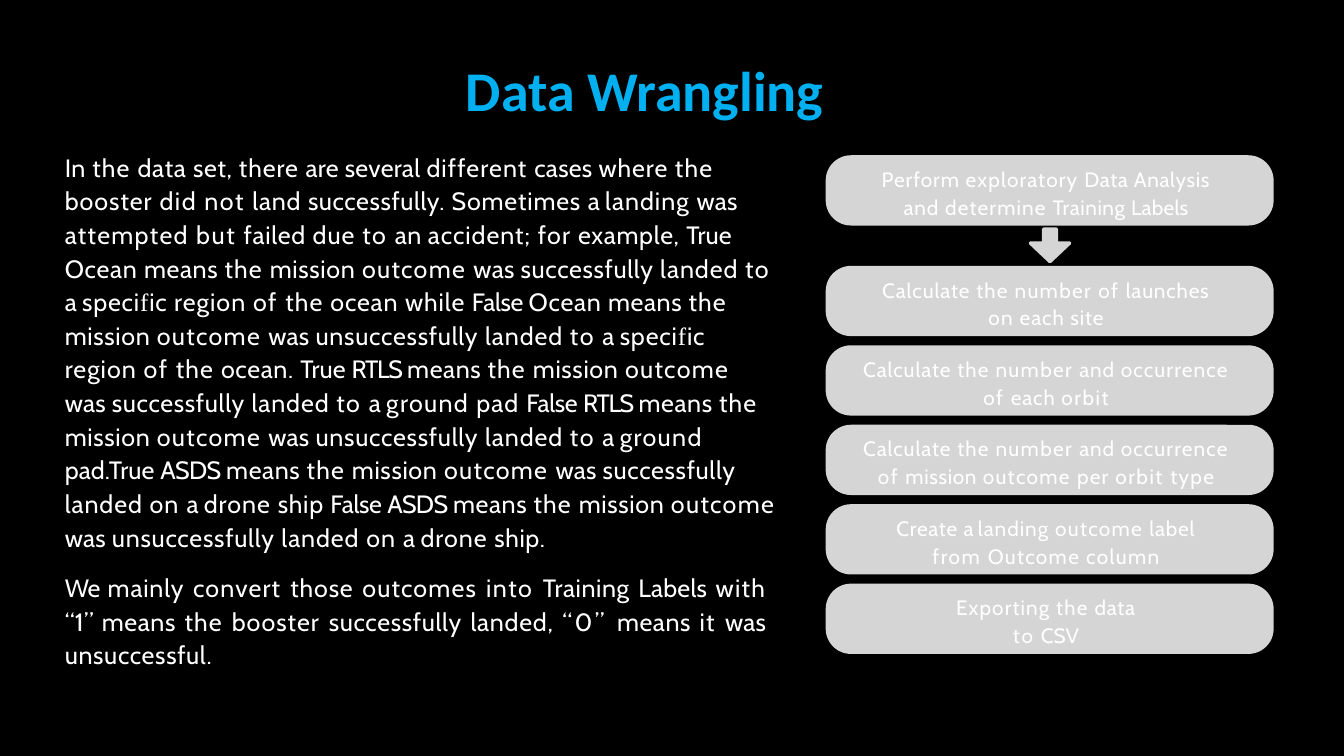
from pptx import Presentation
from pptx.dml.color import RGBColor
from pptx.enum import shapes, text
from pptx.util import Inches, Pt

TITLE = "Data Wrangling"
CASES = [
    "In the data set, there are several different cases where the",
    "booster did not land successfully. Sometimes a landing was",
    "attempted but failed due to an accident; for example, True",
    "Ocean means the mission outcome was successfully landed to",
    "a specific region of the ocean while False Ocean means the",
    "mission outcome was unsuccessfully landed to a specific",
    "region of the ocean. True RTLS means the mission outcome",
    "was successfully landed to a ground pad False RTLS means the",
    "mission outcome was unsuccessfully landed to a ground",
    "pad.True ASDS means the mission outcome was successfully",
    "landed on a drone ship False ASDS means the mission outcome",
    "was unsuccessfully landed on a drone ship.",
]
LABELS = [
    "We mainly convert those outcomes into Training Labels with "
    "“1” means the booster successfully landed, “0” means it was unsuccessful."
]
STEPS = [
    ["Perform exploratory Data Analysis", "and determine Training Labels"],
    ["Calculate the number of launches", "on each site"],
    ["Calculate the number and occurrence", "of each orbit"],
    ["Calculate the number and occurrence", "of mission outcome per orbit type"],
    ["Create a landing outcome label", "from Outcome column"],
    ["Exporting the data", "to CSV"],
]
# Letter spacing in points; words not listed take 1 point
TRACKS = {
    -1.6: "RTLS",
    -0.8: "ASDS",
    -0.6: "We",
    -0.4: "a False",
    -0.1: "CSV",
    0.1: "True pad.True",
    0.3: "are several cases was Labels “1”",
    0.5: "an",
    0.7: "In set, successfully. means ship. Training Data",
    0.8: "example, mission successfully ocean. Analysis unsuccessful.",
    0.9: "data failed Ocean unsuccessfully ship landed, Create",
    1.1: "there where landed while Perform and Calculate each",
    1.2: "booster landing due accident; region drone",
    1.3: "different pad Exporting",
    1.4: "the for on convert outcomes exploratory determine occurrence per",
    1.6: "attempted outcome ground with it number type Outcome column",
    1.8: "did not of from orbit into",
    1.9: "but to",
    2.8: "“0”",
}
TRACK = {word: gap for gap, words in TRACKS.items() for word in words.split()}

BLACK, WHITE, GREY, BLUE = "000000", "FFFFFF", "D5D5D5", "00B0F0"
LEFT, WIDE, HIGH = 13.51, 7.33, 1.15
FIRST, SECOND, PITCH = 2.54, 4.35, 1.3


def color(code):
    return RGBColor.from_string(code)


def style(par, name, size, code):
    par.font.name = name
    par.font.size = Pt(size)
    par.font.color.rgb = color(code)


def write(par, lines, size):
    """Fill a paragraph with lines of words, each word with its own tracking."""
    par.line_spacing = 1.12
    style(par, "Cabin", size, WHITE)
    for row, line in enumerate(lines):
        if row:
            par.add_line_break()
        words = line.split()
        for spot, word in enumerate(words):
            tail = " " if spot < len(words) - 1 else ""
            parts = ["speci", "f", "ic"] if word == "specific" else [word]
            parts[-1] += tail
            for part in parts:
                run = par.add_run()
                run.text = part
                run.font._element.set("spc", str(round(TRACK.get(word, 1) * 100)))
                if part == "f":
                    run.font.name = "Times New Roman"


def add_box(slide, left, top, wide, high):
    frame = slide.shapes.add_textbox(*map(Inches, (left, top, wide, high))).text_frame
    frame.word_wrap = True
    return frame


def add_shape(slide, kind, left, top, wide, high, *ratios):
    shape = slide.shapes.add_shape(kind, *map(Inches, (left, top, wide, high)))
    shape.shadow.inherit = False
    shape.fill.solid()
    shape.fill.fore_color.rgb = color(GREY)
    shape.line.fill.background()
    for spot, ratio in enumerate(ratios):
        shape.adjustments[spot] = ratio
    return shape


def add_step(slide, top, lines):
    card = add_shape(slide, shapes.MSO_SHAPE.ROUNDED_RECTANGLE, LEFT, top, WIDE, HIGH, 0.36)
    frame = card.text_frame
    frame.margin_left = frame.margin_bottom = 0
    frame.margin_top, frame.margin_right = Inches(0.04), Inches(0.12)
    frame.vertical_anchor = text.MSO_ANCHOR.MIDDLE
    par = frame.paragraphs[0]
    par.alignment = text.PP_ALIGN.CENTER
    write(par, lines, 24.5)


def main():
    deck = Presentation()
    deck.slide_width, deck.slide_height = Inches(21.99), Inches(12.37)
    slide = deck.slides.add_slide(deck.slide_layouts[6])
    slide.background.fill.solid()
    slide.background.fill.fore_color.rgb = color(BLACK)

    head = add_box(slide, 5.3, 0.86, 10.5, 1.21).paragraphs[0]
    head.text = TITLE
    head.alignment = text.PP_ALIGN.CENTER
    style(head, "Calibri", 66, BLUE)
    head.font.bold = True

    body = add_box(slide, 1.06, 2.42, 12.67, 8.59)
    body.margin_left = body.margin_right = body.margin_bottom = 0
    body.margin_top = Inches(0.01)
    write(body.paragraphs[0], CASES, 29.5)
    note = body.add_paragraph()
    note.alignment = text.PP_ALIGN.JUSTIFY
    note.space_before = Pt(19.8)
    note._p.get_or_add_pPr().set("marR", str(Inches(1.19)))
    write(note, LABELS, 29.5)

    for spot, lines in enumerate(STEPS):
        top = SECOND + PITCH * (spot - 1) if spot else FIRST
        add_step(slide, top, lines)

    arrow = add_shape(slide, shapes.MSO_SHAPE.DOWN_ARROW, 16.86, 3.75, 0.64, 0.53, 0.33, 0.57)
    arrow.line.color.rgb = color(GREY)
    arrow.line.width = Pt(4.12)

    deck.save("out.pptx")


if __name__ == "__main__":
    main()
